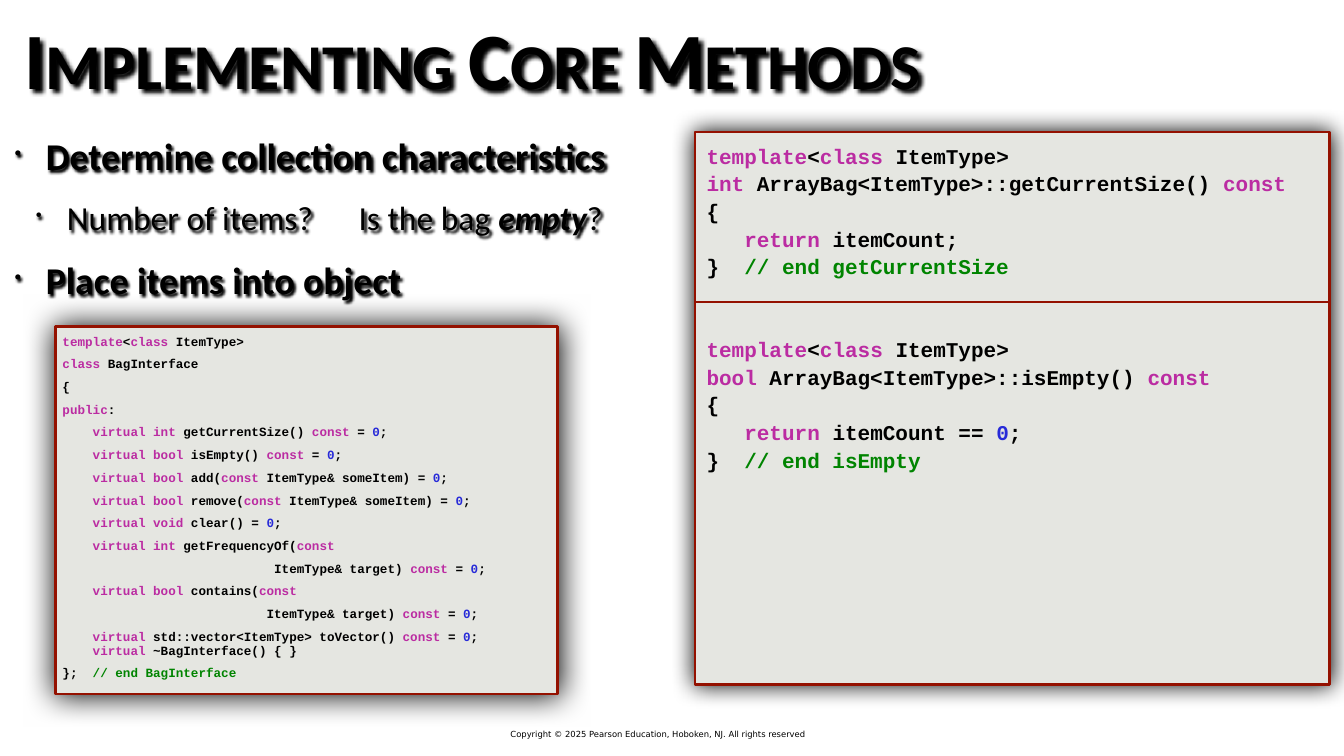
from itertools import groupby

from lxml import etree
from pptx import Presentation
from pptx.dml.color import RGBColor
from pptx.enum.shapes import MSO_CONNECTOR, MSO_SHAPE
from pptx.enum.text import MSO_ANCHOR
from pptx.oxml.ns import qn
from pptx.util import Inches, Pt

RECTANGLE = MSO_SHAPE.RECTANGLE
STRAIGHT = MSO_CONNECTOR.STRAIGHT
MIDDLE = MSO_ANCHOR.MIDDLE

BLACK = RGBColor(0x00, 0x00, 0x00)
PANEL_FILL = RGBColor(0xE5, 0xE6, 0xE1)
BORDER = RGBColor(0x94, 0x11, 0x00)
KEYWORD = RGBColor(0xBB, 0x2C, 0xA2)
NUMBER = RGBColor(0x27, 0x2A, 0xD8)
COMMENT = RGBColor(0x00, 0x84, 0x00)

WIDTH, HEIGHT = 26.67, 15
BODY_FONT, CODE_FONT, FOOTER_FONT = "Calibri", "Courier New", "DejaVu Sans"
KEYWORDS = {"template", "class", "public", "virtual", "int", "bool", "void", "const", "return"}

TITLE = "Implementing Core Methods"
COPYRIGHT = "Copyright © 2025 Pearson Education, Hoboken, NJ. All rights reserved"

BULLETS = [
    (0, [("Determine collection characteristics", True, False)]),
    (1, [("Number of items?      Is the bag ", False, False),
         ("empty", True, True), ("?", False, False)]),
    (0, [("Place items into object", True, False)]),
]
BULLET_LEVELS = [{"size": 54, "margin": 0.62}, {"size": 48, "margin": 1.04}]

INTERFACE_CODE = """template<class ItemType>
class BagInterface
{
public:
    virtual int getCurrentSize() const = 0;
    virtual bool isEmpty() const = 0;
    virtual bool add(const ItemType& someItem) = 0;
    virtual bool remove(const ItemType& someItem) = 0;
    virtual void clear() = 0;
    virtual int getFrequencyOf(const
                            ItemType& target) const = 0;
    virtual bool contains(const
                           ItemType& target) const = 0;
    virtual std::vector<ItemType> toVector() const = 0;
    virtual ~BagInterface() { }
};  // end BagInterface""".split("\n")

METHODS_CODE = """template<class ItemType>
int ArrayBag<ItemType>::getCurrentSize() const
{
   return itemCount;
}  // end getCurrentSize
template<class ItemType>
bool ArrayBag<ItemType>::isEmpty() const
{
   return itemCount == 0;
}  // end isEmpty""".split("\n")

INTERFACE_PANEL = (1.1, 6.48, 9.96, 7.29)
METHODS_PANEL = (13.79, 2.62, 12.6, 10.96)
DIVIDER_TOP = 5.99


def add_shadow(shape, blur, distance, degrees):
    effects = etree.SubElement(shape._element.spPr, qn("a:effectLst"))
    shadow = etree.SubElement(effects, qn("a:outerShdw"), blurRad=str(Pt(blur)),
                              dist=str(Pt(distance)), dir=str(degrees * 60000), rotWithShape="0")
    etree.SubElement(shadow, qn("a:srgbClr"), val=str(BLACK))


def add_text_box(slide, box, inset=0.08):
    shape = slide.shapes.add_textbox(*map(Inches, box))
    frame = shape.text_frame
    frame.word_wrap = True
    frame.margin_left = frame.margin_right = Inches(inset)
    frame.margin_top = frame.margin_bottom = Inches(inset)
    return shape


def next_paragraph(frame, index):
    return frame.add_paragraph() if index else frame.paragraphs[0]


def add_run(paragraph, text, font_name, size, color=BLACK, bold=False, italic=False):
    run = paragraph.add_run()
    run.text = text
    font = run.font
    font.name, font.size, font.bold, font.italic = font_name, Pt(size), bold, italic
    font.color.rgb = color
    return run


def add_panel(slide, box, blur):
    panel = slide.shapes.add_shape(RECTANGLE, *map(Inches, box))
    panel.fill.solid()
    panel.fill.fore_color.rgb = PANEL_FILL
    panel.line.color.rgb = BORDER
    panel.line.width = Pt(4)
    add_shadow(panel, blur, 0, 0)


def token_color(token):
    if token in KEYWORDS:
        return KEYWORD
    return NUMBER if token.isdigit() else BLACK


def colored_pieces(line):
    code, slashes, remark = line.partition("//")
    tokens = ["".join(group) for _, group in groupby(code, str.isalnum)]
    for color, group in groupby(tokens, token_color):
        yield "".join(group), color
    if slashes:
        yield slashes + remark, COMMENT


def add_code(slide, box, lines, size, line_spacing, gap, special_gaps):
    frame = add_text_box(slide, box).text_frame
    for index, line in enumerate(lines):
        paragraph = next_paragraph(frame, index)
        paragraph.line_spacing = line_spacing
        paragraph.space_before = Pt(special_gaps.get(index, gap if index else 0))
        for text, color in colored_pieces(line):
            add_run(paragraph, text, CODE_FONT, size, color, bold=True)


def add_bullets(slide, box):
    shape = add_text_box(slide, box)
    for index, (level, pieces) in enumerate(BULLETS):
        style = BULLET_LEVELS[level]
        paragraph = next_paragraph(shape.text_frame, index)
        paragraph.level = level
        paragraph.space_before = Pt(27 if index else 0)
        properties = paragraph._p.get_or_add_pPr()
        properties.set("marL", str(Inches(style["margin"])))
        properties.set("indent", str(Inches(-0.62)))
        etree.SubElement(properties, qn("a:buSzPct"), val="53000")
        etree.SubElement(properties, qn("a:buChar"), char="•")
        for text, bold, italic in pieces:
            add_run(paragraph, text, BODY_FONT, style["size"], bold=bold, italic=italic)
    add_shadow(shape, 4, 4, 45)


def add_title(slide, box):
    shape = add_text_box(slide, box)
    shape.text_frame.vertical_anchor = MIDDLE
    run = add_run(shape.text_frame.paragraphs[0], TITLE, BODY_FONT, 114, bold=True)
    run.font._element.set("cap", "small")
    add_shadow(shape, 5, 5, 45)


def add_divider(slide):
    left, _, width, _ = METHODS_PANEL
    ends = (left, DIVIDER_TOP, left + width, DIVIDER_TOP)
    divider = slide.shapes.add_connector(STRAIGHT, *map(Inches, ends))
    divider.line.color.rgb = BORDER
    divider.line.width = Pt(3)
    etree.SubElement(divider._element.spPr, qn("a:effectLst"))


def main():
    presentation = Presentation()
    presentation.slide_width, presentation.slide_height = Inches(WIDTH), Inches(HEIGHT)
    slide = presentation.slides.add_slide(presentation.slide_layouts[6])

    footer = add_text_box(slide, (10.13, 14.45, 6.77, 0.24), inset=0).text_frame
    footer.vertical_anchor = MIDDLE
    add_run(footer.paragraphs[0], COPYRIGHT, FOOTER_FONT, 12)

    add_panel(slide, INTERFACE_PANEL, blur=45)
    add_code(slide, (1.16, 6.57, 9.88, 7.05), INTERFACE_CODE, 18, 0.9, 13,
             {len(INTERFACE_CODE) - 2: 0})
    add_title(slide, (0.4, 0, 24.02, 2.29))
    add_bullets(slide, (0.21, 2.56, 13.56, 3.9))
    add_panel(slide, METHODS_PANEL, blur=33)
    add_code(slide, (13.94, 2.71, 12.44, 6.53), METHODS_CODE, 30, 1.1, 0,
             {len(METHODS_CODE) // 2: 78})
    add_divider(slide)
    presentation.save("out.pptx")


if __name__ == "__main__":
    main()
